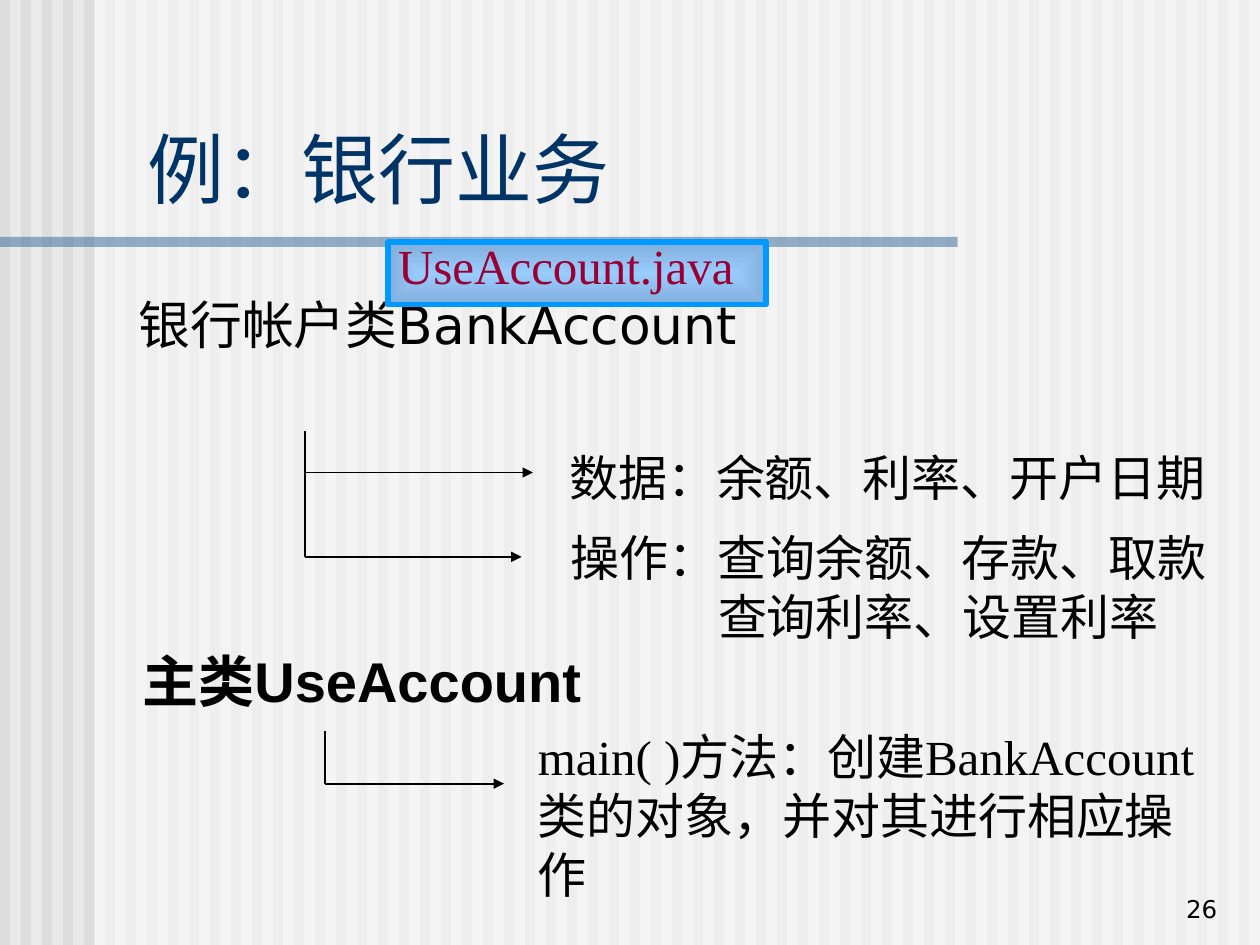
from pptx import Presentation
from pptx.dml.color import RGBColor
from pptx.enum.shapes import MSO_CONNECTOR, MSO_SHAPE
from pptx.enum.text import MSO_ANCHOR, MSO_AUTO_SIZE, PP_ALIGN
from pptx.oxml import parse_xml
from pptx.oxml.ns import nsdecls, qn
from pptx.util import Inches, Pt
from lxml.etree import SubElement

COLORS = {
    "back": "EAEAEA", "stripe": "DDDDDD", "veil": "FFFFFF", "bar": "336699",
    "title": "003366", "text": "000000", "label": "990033",
    "center": "99CCFF", "edge": "82AEDA", "border": "0099FF",
}
SERIF, SANS, HEAVY = "Times New Roman", "DejaVu Sans", "Arial"


class SlideBuilder:
    def __init__(self, slide):
        self.s = slide
        fill = slide.background.fill
        fill.solid()
        fill.fore_color.rgb = self.rgb("back")

    def rgb(self, name):
        return RGBColor.from_string(COLORS[name])

    def rect(self, x, y, w, h, color, alpha=None):
        sp = self.s.shapes.add_shape(
            MSO_SHAPE.RECTANGLE, Inches(x), Inches(y), Inches(w), Inches(h))
        sp.shadow.inherit = False
        sp.fill.solid()
        sp.fill.fore_color.rgb = self.rgb(color)
        sp.line.fill.background()
        if alpha:
            clr = sp._element.spPr.find(qn("a:solidFill"))[0]
            SubElement(clr, qn("a:alpha")).set("val", str(alpha * 1000))
        return sp

    def add_lines(self, tf, lines, size, font=SERIF, color="text", bold=False,
                  align=PP_ALIGN.LEFT, spacing=None, before=None, indent=0):
        for i, line in enumerate(lines):
            p = tf.add_paragraph() if i else tf.paragraphs[0]
            p.alignment = align
            p.line_spacing = spacing
            p.space_before = before
            if i and indent:
                p._p.get_or_add_pPr().set("marL", str(Inches(indent)))
            r = p.add_run()
            r.text = line
            r.font.name = font
            r.font.size = Pt(size)
            r.font.bold = bold
            r.font.color.rgb = self.rgb(color)

    def text(self, x, y, w, h, lines, size, wrap=True,
             anchor=MSO_ANCHOR.TOP, **style):
        sp = self.s.shapes.add_textbox(Inches(x), Inches(y), Inches(w), Inches(h))
        tf = sp.text_frame
        tf.word_wrap = wrap
        tf.vertical_anchor = anchor
        if not wrap:
            tf.auto_size = MSO_AUTO_SIZE.SHAPE_TO_FIT_TEXT
        self.add_lines(tf, lines, size, **style)

    def line(self, x1, y1, x2, y2, arrow=False):
        cn = self.s.shapes.add_connector(
            MSO_CONNECTOR.STRAIGHT, Inches(x1), Inches(y1), Inches(x2), Inches(y2))
        cn.line.color.rgb = self.rgb("text")
        cn.line.width = Pt(1)
        if arrow:
            ln = cn._element.spPr.find(qn("a:ln"))
            SubElement(ln, qn("a:tailEnd")).set("type", "triangle")
        SubElement(cn._element.spPr, qn("a:effectLst"))

    def branch(self, x, top, arrows):
        self.line(x, top, x, arrows[-1][1])
        for end, y in arrows:
            self.line(x, y, end, y, arrow=True)

    def label(self, x, y, w, h, caption):
        sp = self.rect(x, y, w, h, "center")
        solid = sp._element.spPr.find(qn("a:solidFill"))
        grad = parse_xml(
            f'<a:gradFill {nsdecls("a")} rotWithShape="1"><a:gsLst>'
            f'<a:gs pos="0"><a:srgbClr val="{COLORS["center"]}"/></a:gs>'
            f'<a:gs pos="100000"><a:srgbClr val="{COLORS["edge"]}"/></a:gs>'
            '</a:gsLst><a:path path="rect"><a:fillToRect l="50000" t="50000" '
            'r="50000" b="50000"/></a:path></a:gradFill>')
        solid.getparent().replace(solid, grad)
        sp.line.color.rgb = self.rgb("border")
        sp.line.width = Pt(3)
        tf = sp.text_frame
        tf.word_wrap = True
        tf.vertical_anchor = MSO_ANCHOR.TOP
        tf.margin_left = tf.margin_right = Inches(0.08)
        tf.margin_top = tf.margin_bottom = 0
        self.add_lines(tf, [caption], 28, color="label", spacing=0.9)


def main():
    prs = Presentation()
    prs.slide_width, prs.slide_height = Inches(10), Inches(7.5)
    b = SlideBuilder(prs.slides.add_slide(prs.slide_layouts[6]))

    for i in range(60):
        b.rect(i / 6, 0, 0.08, 7.5, "stripe")
    b.rect(0.75, 0, 9.25, 7.5, "veil", alpha=50)
    b.rect(0, 1.88, 7.6, 0.08, "bar", alpha=50)

    b.text(1.07, 0.91, 8.93, 0.84, ["例：银行业务"], 44,
           color="title", anchor=MSO_ANCHOR.BOTTOM)
    b.text(1, 2.33, 5.08, 0.67, ["银行帐户类BankAccount"], 29.6,
           font=SANS, spacing=0.9, before=Pt(8))
    b.branch(2.42, 3.42, [(4.23, 3.75), (4.14, 4.42)])
    b.text(4.42, 3.5, 5.36, 0.57, ["数据：余额、利率、开户日期"], 28)
    b.text(4.43, 4.14, 5.25, 1.04,
           ["操作：查询余额、存款、取款", "查询利率、设置利率"], 28,
           wrap=False, indent=1.17)
    b.text(1.03, 5.08, 3.79, 0.64, ["主类UseAccount"], 32,
           wrap=False, font=HEAVY, bold=True)
    b.branch(2.58, 5.8, [(4, 6.22)])
    b.text(4.17, 5.72, 5.63, 1.04,
           ["main( )方法：创建BankAccount", "类的对象，并对其进行相应操作"], 28,
           wrap=False)
    b.label(3.08, 1.92, 3, 0.5, "UseAccount.java")
    b.text(7.68, 6.88, 2.08, 0.5, ["26"], 14, font=SANS,
           align=PP_ALIGN.RIGHT, anchor=MSO_ANCHOR.BOTTOM)
    prs.save("out.pptx")


if __name__ == "__main__":
    main()
